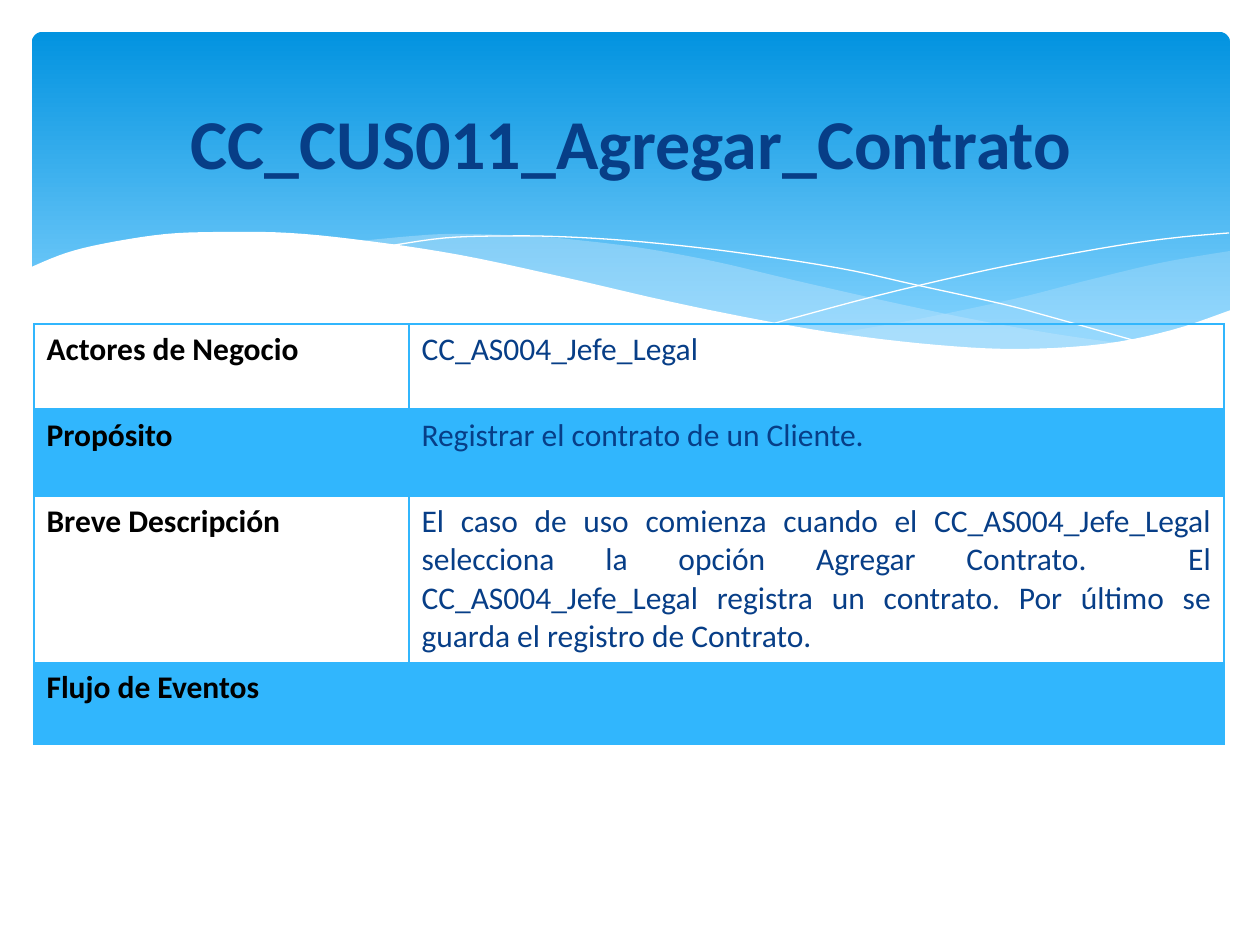
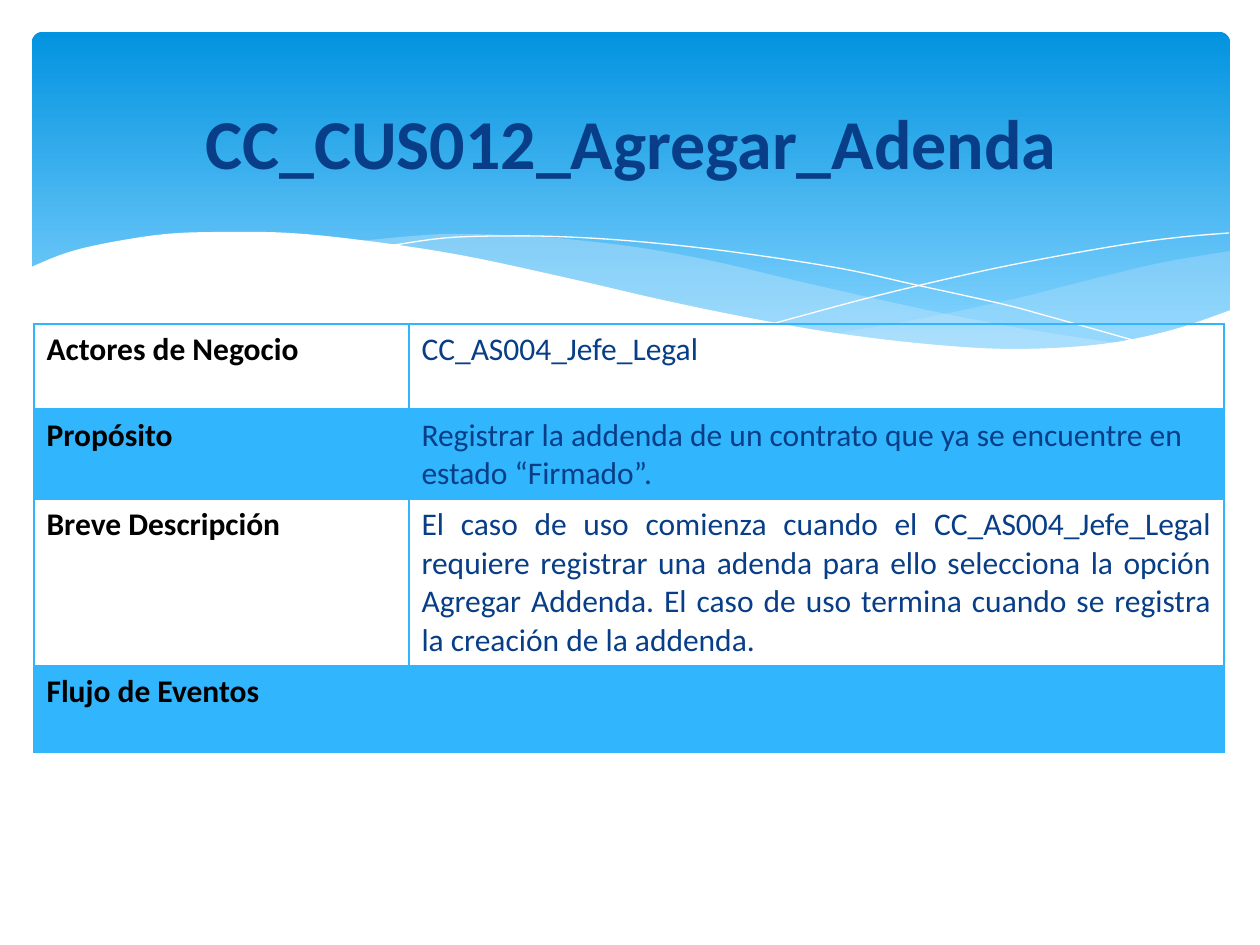
import dataclasses

import lxml.etree
import pptx
import pptx.dml.color
import pptx.enum.shapes
import pptx.enum.text
import pptx.oxml.ns
import pptx.util

PX = 914400 / 126
SMOOTH_STEPS = 5


@dataclasses.dataclass(frozen=True)
class Theme:
    font: str = "Calibri"
    title_size: int = 40
    table_size: int = 18
    navy: str = "073E87"
    black: str = "000000"
    white: str = "FFFFFF"
    border: str = "31B6FD"
    veil: str = "C6E7FC"
    band_top: str = "0293E0"
    band_bottom: str = "83D3FE"


THEME = Theme()
BAND_BOX = (32, 32, 1198, 340)
TITLE_BOX = (64, 55, 1134, 173)
TABLE_LEFT, TABLE_TOP = 34, 324
COLUMN_WIDTHS = (375, 815)
LABELS = ("Actores de Negocio", "Propósito", "Breve Descripción", "Flujo de Eventos")

RIGHT_VEIL = (
    ((1198, 219), (1128, 231), (1053, 249), (982, 267), (887, 287), (801, 302)),
    ((801, 302), (856, 309), (922, 316), (994, 318), (1067, 313), (1128, 302),
     (1198, 279)),
)
LEFT_VEIL = (
    ((1093, 312), (1023, 302), (944, 288), (858, 270), (761, 248), (685, 230),
     (616, 217), (554, 209), (497, 204), (423, 202), (381, 204), (328, 209)),
    ((328, 209), (399, 219), (477, 234), (534, 248), (636, 270), (725, 289),
     (806, 303), (878, 313), (957, 318), (1024, 318), (1093, 312)),
)
FALLING_LINE = (
    ((357, 214), (413, 206), (473, 204), (535, 205), (611, 210), (701, 220),
     (806, 236), (884, 253), (970, 272), (1015, 284), (1111, 311)),
)
RISING_LINE = (
    ((740, 292), (844, 264), (946, 240), (1021, 225), (1096, 212), (1150, 205),
     (1197, 201)),
)
WHITE_WAVE = (
    ((1199, 278), (1140, 298), (1071, 312), (987, 317), (905, 313), (810, 302),
     (728, 288), (635, 269), (531, 245), (428, 223), (336, 209), (258, 201),
     (191, 200), (134, 202), (75, 211), (34, 221), (-3, 236)),
    ((-3, 383), (1199, 383)),
)

USE_CASES = (
    {
        "title": "CC_CUS011_Agregar_Contrato",
        "values": (
            "CC_AS004_Jefe_Legal",
            "Registrar el contrato de un Cliente.",
            "El caso de uso comienza cuando el CC_AS004_Jefe_Legal selecciona la "
            "opción Agregar Contrato.  El CC_AS004_Jefe_Legal registra un contrato. "
            "Por último se guarda el registro de Contrato.",
            "",
        ),
        "row_heights": (86, 86, 86, 82),
        "table_height": 417,
    },
    {
        "title": "CC_CUS012_Agregar_Adenda",
        "values": (
            "CC_AS004_Jefe_Legal",
            "Registrar la addenda de un contrato que ya se encuentre en estado "
            "“Firmado”.",
            "El caso de uso comienza cuando el CC_AS004_Jefe_Legal requiere registrar "
            "una adenda para ello selecciona la opción Agregar Addenda. El caso de "
            "uso termina cuando se registra la creación de la addenda.",
            "",
        ),
        "row_heights": (86, 86, 86, 86),
        "table_height": 423,
    },
)


def emu(length):
    return pptx.util.Emu(round(length * PX))


def rgb(value):
    return pptx.dml.color.RGBColor.from_string(value)


def set_attributes(target, values):
    for name, value in values.items():
        setattr(target, name, value)


def add_xml(parent, tag, **attributes):
    return lxml.etree.SubElement(parent, pptx.oxml.ns.qn(tag), attributes)


def fill_solid(fill, color, opacity=100):
    fill.solid()
    fill.fore_color.rgb = rgb(color)
    if opacity < 100:
        fill_color = fill._xPr.find(".//" + pptx.oxml.ns.qn("a:srgbClr"))
        add_xml(fill_color, "a:alpha", val=str(opacity * 1000))


def write_text(frame, text, size, color, bold, alignment):
    paragraph = frame.paragraphs[0]
    paragraph.alignment = alignment
    paragraph.font.size = pptx.util.Pt(size)
    if text:
        run = paragraph.add_run()
        run.text = text
        set_attributes(run.font, {
            "name": THEME.font, "size": pptx.util.Pt(size), "bold": bold,
        })
        run.font.color.rgb = rgb(color)


def smooth(points):
    padded = (points[0], *points, points[-1])
    result = [points[0]]
    for before, start, end, after in zip(padded, padded[1:], padded[2:], padded[3:]):
        for step in range(1, SMOOTH_STEPS + 1):
            t = step / SMOOTH_STEPS
            result.append(tuple(
                (2 * b + (c - a) * t + (2 * a - 5 * b + 4 * c - d) * t ** 2
                 + (3 * b - a - 3 * c + d) * t ** 3) / 2
                for a, b, c, d in zip(before, start, end, after)
            ))
    return result


def add_wave(slide, box, curves, closed):
    left, top = box[:2]
    points = [(emu(left + x), emu(top + y))
              for curve in curves for x, y in smooth(curve)]
    builder = slide.shapes.build_freeform(*points[0])
    builder.add_line_segments(points[1:], close=closed)
    shape = builder.convert_to_shape()
    shape.shadow.inherit = False
    return shape


def add_wave_area(slide, box, curves, color, opacity=100):
    shape = add_wave(slide, box, curves, True)
    fill_solid(shape.fill, color, opacity)
    shape.line.fill.background()


def add_wave_line(slide, box, curves):
    shape = add_wave(slide, box, curves, False)
    shape.fill.background()
    shape.line.color.rgb = rgb(THEME.white)
    shape.line.width = 0


def add_band(slide, box):
    band = slide.shapes.add_shape(
        pptx.enum.shapes.MSO_SHAPE.ROUNDED_RECTANGLE, *map(emu, box))
    band.adjustments[0] = 0.03
    band.shadow.inherit = False
    band.line.fill.background()
    band.fill.gradient()
    band.fill.gradient_angle = 270
    stops = ((0, THEME.band_top), (0.9, THEME.band_bottom))
    for stop, (position, color) in zip(band.fill.gradient_stops, stops):
        stop.position = position
        stop.color.rgb = rgb(color)

    add_wave_area(slide, box, RIGHT_VEIL, THEME.veil, 29)
    add_wave_area(slide, box, LEFT_VEIL, THEME.veil, 40)
    for curves in (FALLING_LINE, RISING_LINE):
        add_wave_line(slide, box, curves)
    add_wave_area(slide, box, WHITE_WAVE, THEME.white)


def place_title(slide, box, text):
    title = slide.shapes.title
    title.element.getparent().append(title.element)
    set_attributes(title, dict(zip(("left", "top", "width", "height"), map(emu, box))))
    set_attributes(title.text_frame, {
        "word_wrap": True,
        "auto_size": pptx.enum.text.MSO_AUTO_SIZE.NONE,
        "vertical_anchor": pptx.enum.text.MSO_ANCHOR.MIDDLE,
    })
    write_text(title.text_frame, text, THEME.title_size, THEME.navy, True,
               pptx.enum.text.PP_ALIGN.CENTER)


def set_borders(cell, row_index):
    properties = cell._tc.get_or_add_tcPr()
    widths = {"L": 1, "R": 1,
              "T": 2 if row_index == 1 else 1,
              "B": 2 if row_index == 0 else 1}
    for side, width in widths.items():
        line = add_xml(properties, f"a:ln{side}", w=str(pptx.util.Pt(width)))
        fill = add_xml(line, "a:solidFill")
        add_xml(fill, "a:srgbClr", val=THEME.border)


def add_use_case_table(slide, box, values, row_heights):
    frame = slide.shapes.add_table(len(LABELS), len(COLUMN_WIDTHS), *map(emu, box))
    table = frame.table
    set_attributes(table, {"first_row": False, "horz_banding": False})
    for column, width in zip(table.columns, COLUMN_WIDTHS):
        column.width = emu(width)
    for row, height in zip(table.rows, row_heights):
        row.height = emu(height)
    frame.height = emu(box[3])

    align = pptx.enum.text.PP_ALIGN
    for row_index, texts in enumerate(zip(LABELS, values)):
        for column_index, text in enumerate(texts):
            cell = table.cell(row_index, column_index)
            is_label = column_index == 0
            is_description = row_index == 2 and not is_label
            set_borders(cell, row_index)
            if row_index % 2:
                fill_solid(cell.fill, THEME.border, 20)
            else:
                cell.fill.background()
            write_text(cell.text_frame, text, THEME.table_size,
                       THEME.black if is_label else THEME.navy, is_label,
                       align.JUSTIFY if is_description else align.LEFT)


def add_use_case_slide(presentation, use_case):
    slide = presentation.slides.add_slide(presentation.slide_layouts[5])
    fill_solid(slide.background.fill, THEME.white)
    add_band(slide, BAND_BOX)
    place_title(slide, TITLE_BOX, use_case["title"])
    table_box = (TABLE_LEFT, TABLE_TOP, sum(COLUMN_WIDTHS), use_case["table_height"])
    add_use_case_table(slide, table_box, use_case["values"], use_case["row_heights"])


def main():
    presentation = pptx.Presentation()
    presentation.slide_width = emu(1260)
    presentation.slide_height = emu(945)
    for use_case in USE_CASES:
        add_use_case_slide(presentation, use_case)
    presentation.save("out.pptx")


if __name__ == "__main__":
    main()
